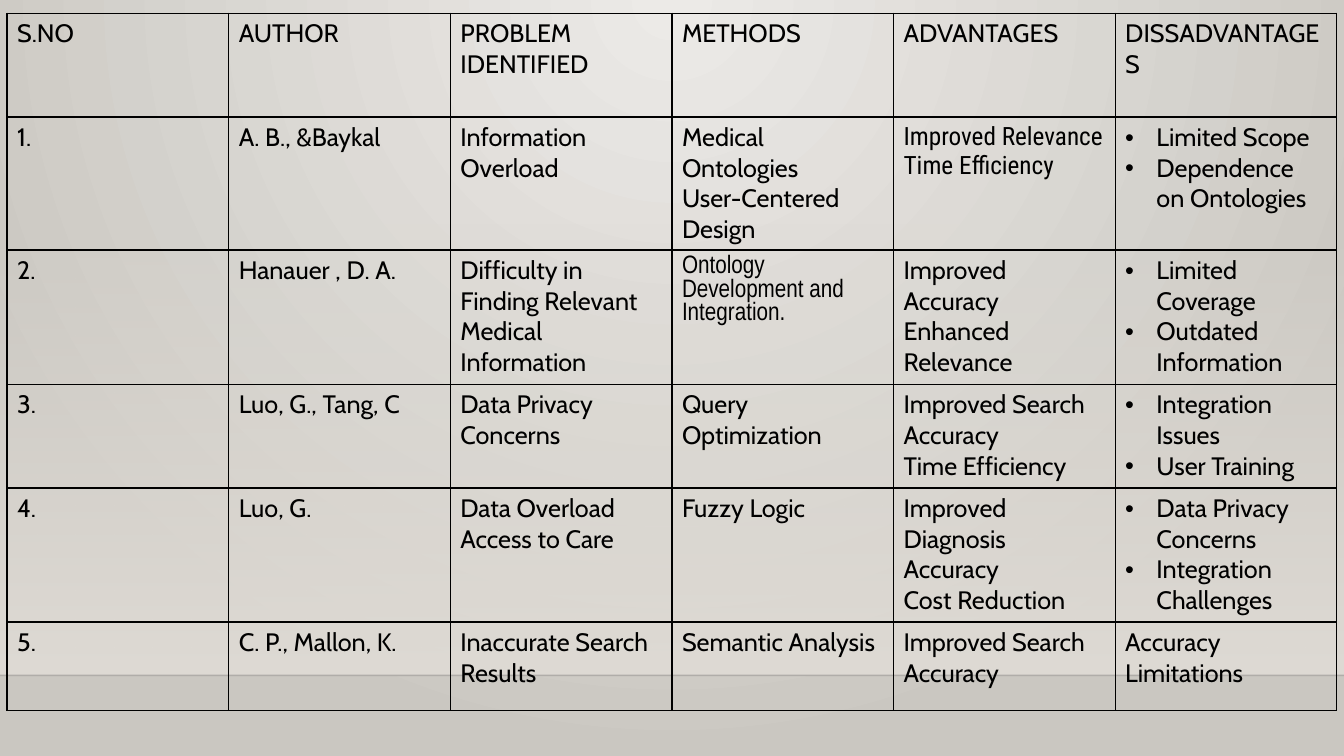
"""Build a literature survey table slide."""
from dataclasses import dataclass

from lxml import etree
from pptx import Presentation
from pptx import util as u
from pptx.dml.color import RGBColor
from pptx.enum import shapes
from pptx.oxml import parse_xml
from pptx.oxml.ns import nsdecls, qn

HEADERS = ["S.NO", "AUTHOR", "PROBLEM IDENTIFIED", "METHODS", "ADVANTAGES", "DISSADVANTAGES"]
STUDIES = [
    ("A. B., &Baykal", "Information Overload", "Medical Ontologies\nUser-Centered Design",
     "Improved Relevance\nTime Efficiency", ["Limited Scope", "Dependence on Ontologies"]),
    ("Hanauer , D. A.", "Difficulty in Finding Relevant Medical Information",
     "Ontology Development and Integration.", "Improved Accuracy\nEnhanced Relevance",
     ["Limited Coverage", "Outdated Information"]),
    ("Luo, G., Tang, C", "Data Privacy Concerns", "Query Optimization",
     "Improved Search Accuracy\nTime Efficiency", ["Integration Issues", "User Training"]),
    ("Luo, G.", "Data Overload\nAccess to Care", "Fuzzy Logic",
     "Improved Diagnosis Accuracy\nCost Reduction",
     ["Data Privacy Concerns", "Integration Challenges"]),
    ("C. P., Mallon, K.", "Inaccurate Search Results", "Semantic Analysis",
     "Improved Search Accuracy", "Accuracy Limitations"),
]
ROWS = [HEADERS] + [(f"{n}.", *study) for n, study in enumerate(STUDIES, 1)]
ROW_HEIGHTS = [1.03, 1.02, 1.33, 1.03, 1.33, 0.88]
CELL_FONTS = {(1, 4): "Roboto Condensed", (2, 3): "Arial Narrow"}
WIDTH, HEIGHT = 13.33, 7.5
FLOOR_TOP, FLOOR_LINE = 2.21, 6.7
TABLE_LEFT, TABLE_TOP = 0.07, 0.13
BULLET_INDENT = u.Inches(0.31)


@dataclass
class Theme:
    """Colours and type of the slide."""
    ink: str = "000000"
    glow: str = "ECEAE7"
    edge: str = "CAC7C1"
    floor: str = "DFDBD5"
    rule: str = "000001"
    font: str = "Cabin"
    size: int = 18
    border: int = 1


THEME = Theme()


def rgb(value):
    """Return a colour object."""
    return RGBColor.from_string(value)


def set_gradient(fill, colours):
    """Give a fill a two-stop gradient."""
    fill.gradient()
    for stop, colour in zip(fill.gradient_stops, colours):
        stop.color.rgb = rgb(colour)


def set_alpha(element, percent):
    """Set the opacity of the first colour inside an element."""
    colour = next(element.iter(qn("a:srgbClr")))
    etree.SubElement(colour, qn("a:alpha")).set("val", str(percent * 1000))


def add_background(s):
    """Draw the round glow, the floor fade and the floor line."""
    set_gradient(s.background.fill, (THEME.glow, THEME.edge))
    grad = next(s._element.iter(qn("a:gradFill")))
    grad.replace(grad.find(qn("a:lin")), parse_xml(
        f'<a:path {nsdecls("a")} path="circle">'
        '<a:fillToRect l="43000" t="0" r="43000" b="100000"/></a:path>'))

    floor = s.shapes.add_shape(shapes.MSO_SHAPE.RECTANGLE, 0, u.Inches(FLOOR_TOP),
                               u.Inches(WIDTH), u.Inches(FLOOR_LINE - FLOOR_TOP))
    floor.shadow.inherit = False
    floor.line.fill.background()
    set_gradient(floor.fill, (THEME.floor, THEME.floor))
    floor.fill.gradient_angle = 270
    set_alpha(floor._element.spPr, 0)

    y = u.Inches(FLOOR_LINE)
    rule = s.shapes.add_connector(shapes.MSO_CONNECTOR.STRAIGHT, 0, y, u.Inches(WIDTH), y)
    rule.line.width = u.Pt(THEME.border)
    rule.line.color.rgb = rgb(THEME.rule)
    set_alpha(rule._element.spPr, 20)
    etree.SubElement(rule._element.spPr, qn("a:effectLst"))


def fill_cell(cell, content, font):
    """Write one cell, bulleting lists, and draw its borders."""
    bulleted = isinstance(content, list)
    cell.text = "\n".join(content) if bulleted else content
    for p in cell.text_frame.paragraphs:
        for r in p.runs:
            for name, value in {"name": font, "size": u.Pt(THEME.size), "bold": False}.items():
                setattr(r.font, name, value)
            r.font.color.rgb = rgb(THEME.ink)
        if bulleted:
            props = p._p.get_or_add_pPr()
            props.set("marL", str(BULLET_INDENT))
            props.set("indent", str(-BULLET_INDENT))
            etree.SubElement(props, qn("a:buFont")).set("typeface", "Arial")
            etree.SubElement(props, qn("a:buChar")).set("char", "•")
    cell.fill.background()
    for place, side in enumerate("LRTB"):
        cell._tc.tcPr.insert(place, parse_xml(
            f'<a:ln{side} {nsdecls("a")} w="{u.Pt(THEME.border)}"><a:solidFill>'
            f'<a:srgbClr val="{THEME.ink}"/></a:solidFill></a:ln{side}>'))


def add_survey(s):
    """Add the survey table with equal columns."""
    width = WIDTH - 2 * TABLE_LEFT
    table = s.shapes.add_table(len(ROWS), len(HEADERS), u.Inches(TABLE_LEFT),
                               u.Inches(TABLE_TOP), u.Inches(width),
                               u.Inches(sum(ROW_HEIGHTS))).table
    table.first_row = table.horz_banding = False
    for i, (height, row) in enumerate(zip(ROW_HEIGHTS, ROWS)):
        table.rows[i].height = u.Inches(height)
        for j, content in enumerate(row):
            fill_cell(table.cell(i, j), content, CELL_FONTS.get((i, j), THEME.font))


def main():
    """Create and save the presentation."""
    prs = Presentation()
    prs.slide_width, prs.slide_height = u.Inches(WIDTH), u.Inches(HEIGHT)
    s = prs.slides.add_slide(prs.slide_layouts[6])
    add_background(s)
    add_survey(s)
    prs.save("out.pptx")


if __name__ == "__main__":
    main()
